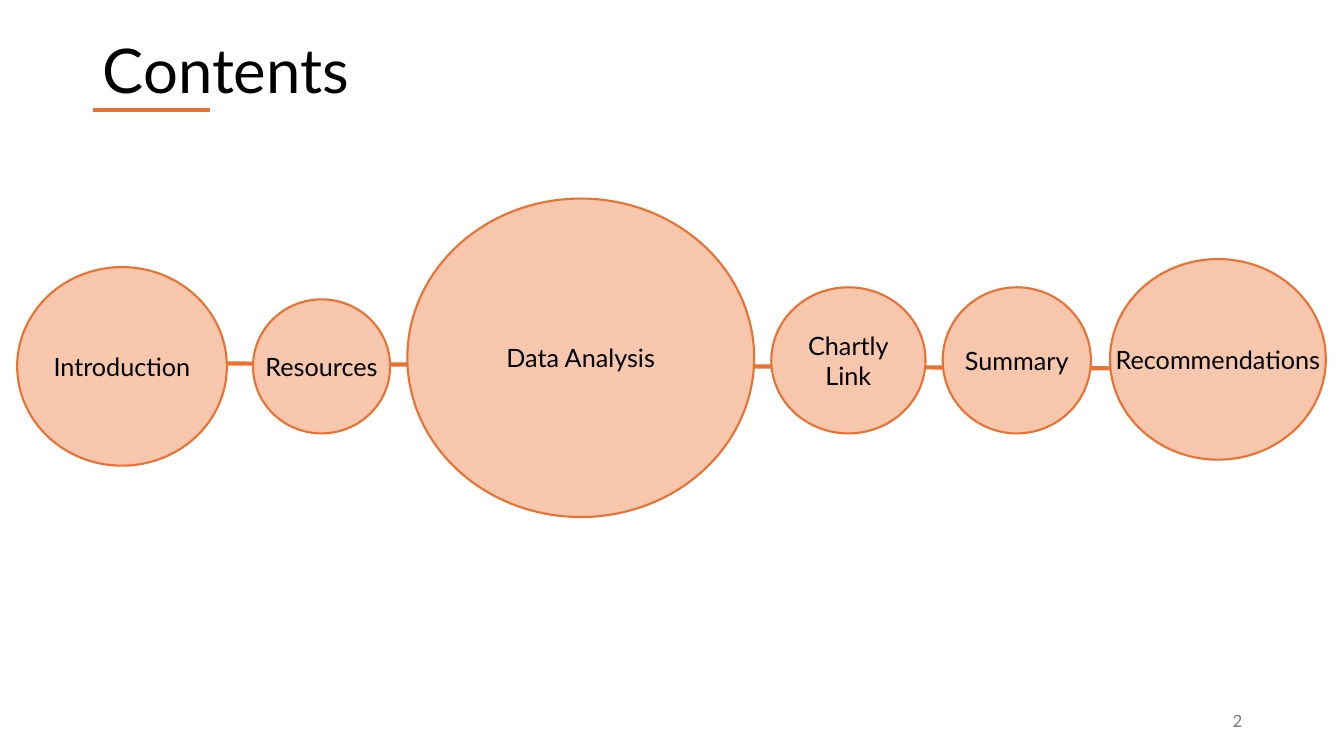
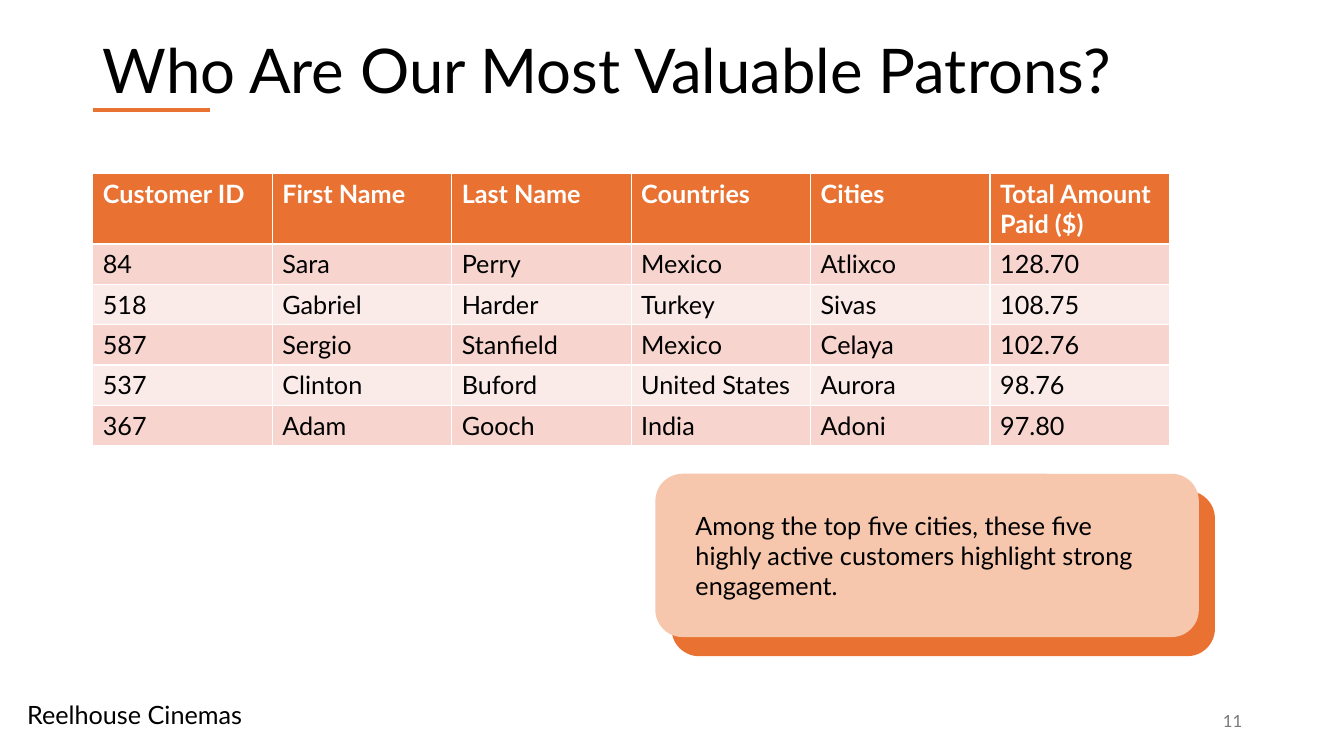
"""Build the contents slide and the top patrons slide."""
from pptx import Presentation
from pptx.dml.color import RGBColor
from pptx.enum.shapes import MSO_CONNECTOR, MSO_SHAPE
from pptx.enum.text import MSO_ANCHOR, PP_ALIGN
from pptx.oxml import parse_xml
from pptx.oxml.ns import nsdecls
from pptx.util import Inches, Pt

LINE = MSO_CONNECTOR.STRAIGHT
OVAL, ROUND = MSO_SHAPE.OVAL, MSO_SHAPE.ROUNDED_RECTANGLE
TOP, MIDDLE = MSO_ANCHOR.TOP, MSO_ANCHOR.MIDDLE
LEFT, CENTER, RIGHT = PP_ALIGN.LEFT, PP_ALIGN.CENTER, PP_ALIGN.RIGHT

FONT = "Lato"
BLACK = RGBColor(0x00, 0x00, 0x00)
WHITE = RGBColor(0xFF, 0xFF, 0xFF)
GRAY = RGBColor(0x79, 0x79, 0x79)
ORANGE = RGBColor(0xE9, 0x71, 0x32)
PEACH = RGBColor(0xF6, 0xC6, 0xAD)
BANDS = (RGBColor(0xF7, 0xD5, 0xCE), RGBColor(0xFB, 0xEB, 0xE8))

TOPICS = [
    (["Introduction"], (0.17, 2.65, 2.08, 1.97)),
    (["Resources"], (2.51, 2.97, 1.36, 1.33)),
    (["Data Analysis"], (4.04, 1.97, 3.44, 3.16)),
    (["Chartly", "Link"], (7.65, 2.85, 1.53, 1.45)),
    (["Summary"], (9.35, 2.85, 1.47, 1.45)),
    (["Recommendations"], (11.01, 2.57, 2.14, 1.99)),
]
PATRONS = [
    ("Customer ID", "First Name", "Last Name", "Countries", "Cities",
     "Total Amount Paid ($)"),
    ("84", "Sara", "Perry", "Mexico", "Atlixco", "128.70"),
    ("518", "Gabriel", "Harder", "Turkey", "Sivas", "108.75"),
    ("587", "Sergio", "Stanfield", "Mexico", "Celaya", "102.76"),
    ("537", "Clinton", "Buford", "United States", "Aurora", "98.76"),
    ("367", "Adam", "Gooch", "India", "Adoni", "97.80"),
]
NOTE = ("Among the top five cities, these five highly active customers "
        "highlight strong engagement.")
MARGIN = 0.92
COL, HEAD, ROW = 1.78, 0.68, 0.4


def write(frame, lines, size=18, color=BLACK, bold=False, align=LEFT):
    """Fill a text frame with one paragraph per line."""
    for i, line in enumerate(lines):
        para = frame.add_paragraph() if i else frame.paragraphs[0]
        para.alignment = align
        run = para.add_run()
        run.text = line
        font = run.font
        font.name, font.size, font.bold = FONT, Pt(size), bold
        font.color.rgb = color
    return frame


def add_text(slide, box, text, anchor=TOP, **style):
    """Add a wrapped text box."""
    frame = slide.shapes.add_textbox(*map(Inches, box)).text_frame
    frame.word_wrap = True
    frame.vertical_anchor = anchor
    return write(frame, [text], **style)


def add_line(slide, start, end):
    """Add an orange rule without a shadow."""
    line = slide.shapes.add_connector(LINE, *map(Inches, start + end))
    line.line.color.rgb = ORANGE
    line.line.width = Pt(3)
    props = line._element.spPr
    props.append(parse_xml(f"<a:effectLst {nsdecls('a')}/>"))


def add_shape(slide, kind, box, fill, edge=None):
    """Add a flat filled shape with an optional outline."""
    shape = slide.shapes.add_shape(kind, *map(Inches, box))
    shape.shadow.inherit = False
    shape.fill.solid()
    shape.fill.fore_color.rgb = fill
    if edge:
        shape.line.color.rgb = edge
        shape.line.width = Pt(1.5)
    else:
        shape.line.fill.background()
    return shape


def add_slide(deck, title, number):
    """Add a slide with its title, rule and page number."""
    slide = deck.slides.add_slide(deck.slide_layouts[6])
    head = add_text(slide, (MARGIN, 0, 11.5, 1.45), title, MIDDLE, size=44)
    head.paragraphs[0].line_spacing = 0.9
    add_line(slide, (MARGIN, 1.09), (2.08, 1.09))
    add_text(slide, (9.42, 6.95, 3, 0.4), number, MIDDLE,
             size=12, color=GRAY, align=RIGHT)
    return slide


def add_topics(slide):
    """Draw the chain of topic bubbles."""
    add_line(slide, (1.15, 3.6), (11.98, 3.66))
    for lines, box in TOPICS:
        frame = add_shape(slide, OVAL, box, PEACH, ORANGE).text_frame
        frame.word_wrap = False
        frame.vertical_anchor = MIDDLE
        write(frame, lines, align=CENTER)


def add_patrons(slide):
    """Draw the table of patrons."""
    rows, cols = len(PATRONS), len(PATRONS[0])
    box = (MARGIN, 1.72, COL * cols, HEAD + ROW * (rows - 1))
    table = slide.shapes.add_table(rows, cols, *map(Inches, box)).table
    for col in table.columns:
        col.width = Inches(COL)
    for r, record in enumerate(PATRONS):
        top = r == 0
        table.rows[r].height = Inches(HEAD if top else ROW)
        for c, value in enumerate(record):
            cell = table.cell(r, c)
            cell.fill.solid()
            cell.fill.fore_color.rgb = ORANGE if top else BANDS[(r - 1) % 2]
            write(cell.text_frame, [value], bold=top,
                  color=WHITE if top else BLACK)


def main():
    """Build and save the deck."""
    deck = Presentation()
    deck.slide_width, deck.slide_height = Inches(13.33), Inches(7.5)

    add_topics(add_slide(deck, "Contents", "2"))

    slide = add_slide(deck, "Who Are Our Most Valuable Patrons?", "11")
    add_text(slide, (0.17, 6.89, 3.82, 0.4), "Reelhouse Cinemas")
    add_patrons(slide)
    add_shape(slide, ROUND, (6.66, 4.87, 5.39, 1.64), ORANGE)
    add_shape(slide, ROUND, (6.5, 4.7, 5.39, 1.62), PEACH)
    add_text(slide, (6.8, 5.01, 4.77, 1.01), NOTE)

    deck.save("out.pptx")


if __name__ == "__main__":
    main()
